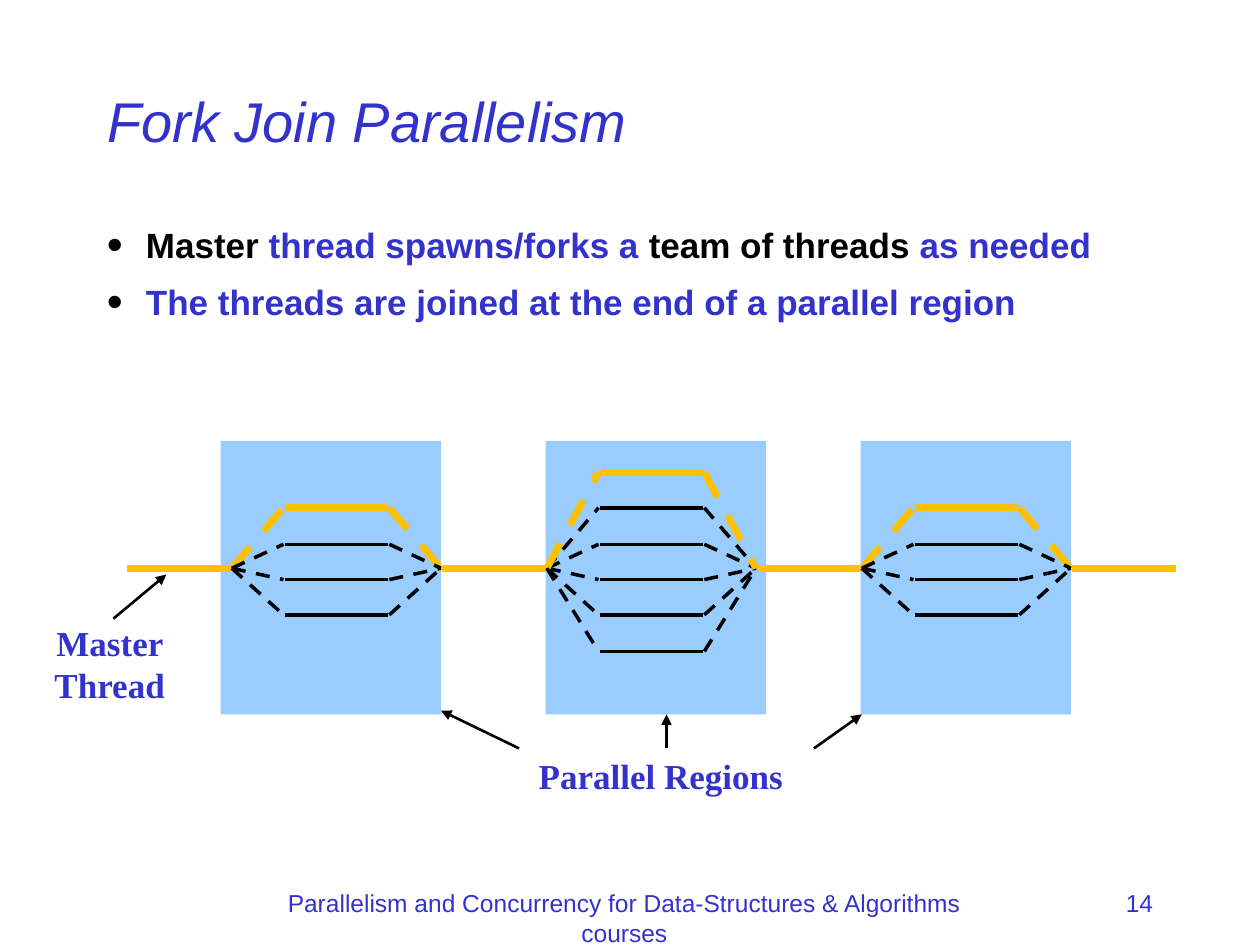
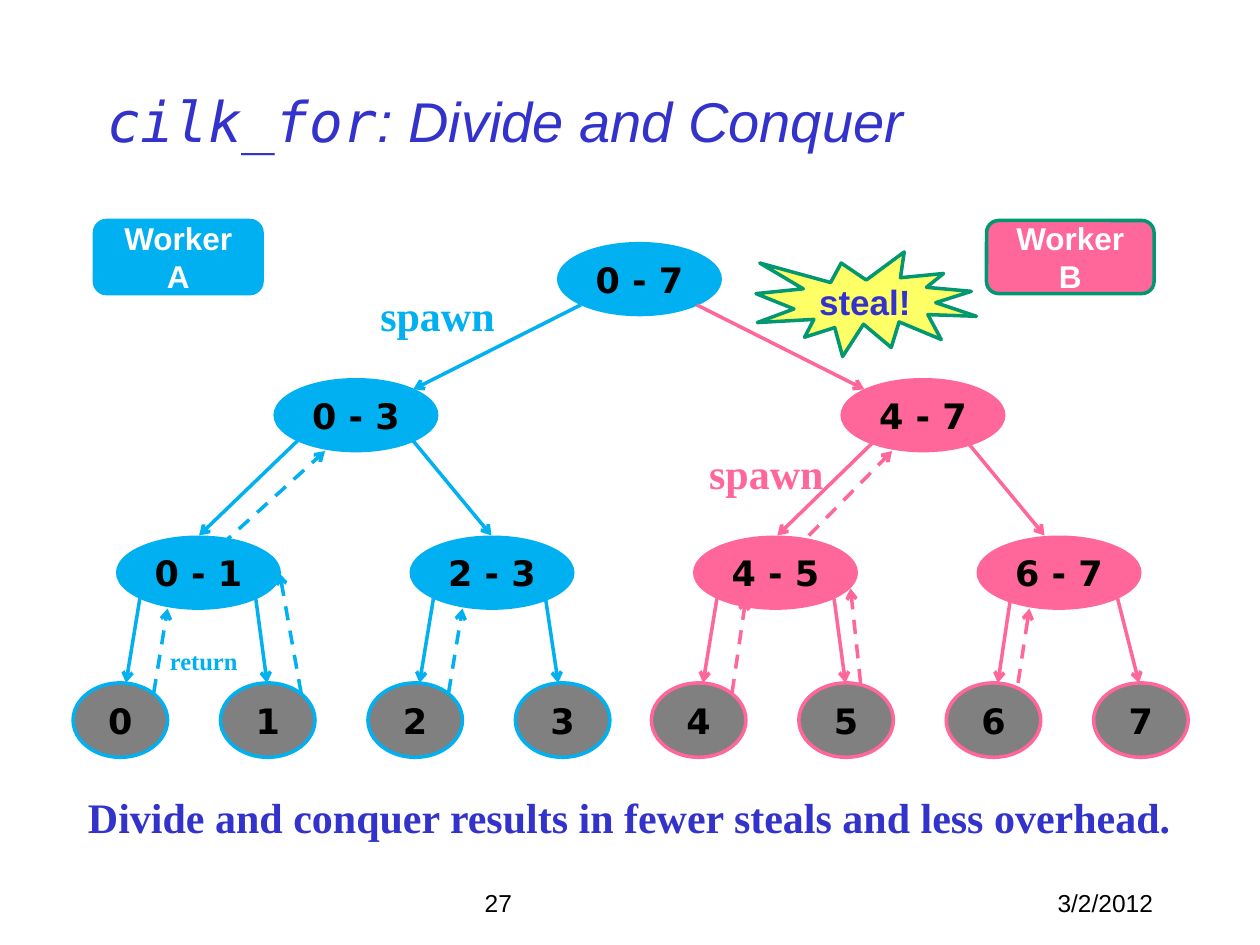
import lxml.etree
import pptx
import pptx.dml.color
import pptx.enum.dml
import pptx.enum.shapes
import pptx.enum.text
import pptx.oxml.ns
import pptx.util

EMU_PER_PX = 9144  # 100 px to the inch
TITLE_ONLY = 5
SHAPES = pptx.enum.shapes.MSO_SHAPE
ALIGN = pptx.enum.text.PP_ALIGN
ANCHOR = pptx.enum.text.MSO_ANCHOR
COLORS = {
    "blue": "3333CC", "black": "000000", "white": "FFFFFF", "region": "99CCFF",
    "master": "FFC000", "A": "00B0F0", "B": "FF6699", "leaf": "808080",
    "green": "009771", "yellow": "FFFF66",
}
SANS, SERIF = "Arial", "Times New Roman"
LABEL, MONO = "DejaVu Sans", "DejaVu Sans Mono"


def px(*lengths):
    return [pptx.util.Emu(length * EMU_PER_PX) for length in lengths]


def rgb(name):
    return pptx.dml.color.RGBColor.from_string(COLORS[name])


def add_xml(parent, tag, **attributes):
    return lxml.etree.SubElement(parent, pptx.oxml.ns.qn(tag), attributes)


class Deck:
    def __init__(self):
        self.presentation = pptx.Presentation()
        self.presentation.slide_width, self.presentation.slide_height = px(1000, 750)
        self.slide = None

    def start_slide(self, *title_runs):
        """Add a slide; each title run is a (text, font) pair."""
        layout = self.presentation.slide_layouts[TITLE_ONLY]
        self.slide = self.presentation.slides.add_slide(layout)
        title = self.slide.shapes.title
        title.left, title.top, title.width, title.height = px(75, 33, 850, 125)
        frame = title.text_frame
        frame.auto_size = pptx.enum.text.MSO_AUTO_SIZE.NONE
        frame.vertical_anchor = ANCHOR.MIDDLE
        paragraph = frame.paragraphs[0]
        paragraph.alignment = ALIGN.LEFT
        for text, font in title_runs:
            run = paragraph.add_run()
            run.text = text
            self.style_run(run, 32, "blue", font, bold=False, italic=True)

    def style_run(self, run, size, color, font, bold=True, italic=False):
        run.font.size = pptx.util.Pt(size)
        run.font.name = font
        run.font.bold = bold
        run.font.italic = italic
        run.font.color.rgb = rgb(color)

    def label(self, shape, text, size, color, font, bold=True, align=ALIGN.CENTER):
        paragraph = shape.text_frame.paragraphs[0]
        paragraph.text = text
        paragraph.alignment = align
        self.style_run(paragraph.runs[0], size, color, font, bold)

    def text(self, box, text, size, color, font=SERIF, bold=True, align=ALIGN.CENTER):
        shape = self.slide.shapes.add_textbox(*px(*box))
        shape.text_frame.word_wrap = True
        self.label(shape, text, size, color, font, bold, align)

    def bullets(self, box, items):
        """Each item is a list of (text, color) runs."""
        frame = self.slide.shapes.add_textbox(*px(*box)).text_frame
        frame.word_wrap = True
        for index, item in enumerate(items):
            paragraph = frame.add_paragraph() if index else frame.paragraphs[0]
            paragraph.line_spacing = 0.94
            if index:
                paragraph.space_before = pptx.util.Pt(10)
            properties = paragraph._p.get_or_add_pPr()
            indent = px(31)[0]
            properties.set("marL", str(indent))
            properties.set("indent", str(-indent))
            bullet_color = add_xml(properties, "a:buClr")
            add_xml(bullet_color, "a:srgbClr", val=COLORS["black"])
            add_xml(properties, "a:buSzPct", val="130000")
            add_xml(properties, "a:buFont", typeface=SANS)
            add_xml(properties, "a:buChar", char="•")
            for text, color in item:
                run = paragraph.add_run()
                run.text = text
                self.style_run(run, 20, color, SANS)

    def shape(self, kind, box, fill, line=None):
        shape = self.slide.shapes.add_shape(kind, *px(*box))
        shape.shadow.inherit = False
        shape.fill.solid()
        shape.fill.fore_color.rgb = rgb(fill)
        if line:
            shape.line.color.rgb = rgb(line)
            shape.line.width = pptx.util.Pt(2)
        else:
            shape.line.fill.background()
        shape.text_frame.vertical_anchor = ANCHOR.MIDDLE
        return shape

    def node(self, box, text, fill, line=None):
        shape = self.shape(SHAPES.OVAL, box, fill, line)
        shape.text_frame.word_wrap = False
        self.label(shape, text, 20, "black", LABEL)

    def line(self, ends, color, width=2, dashed=False, arrow=None):
        straight = pptx.enum.shapes.MSO_CONNECTOR.STRAIGHT
        connector = self.slide.shapes.add_connector(straight, *px(*ends))
        connector.line.color.rgb = rgb(color)
        connector.line.width = pptx.util.Pt(width)
        if dashed:
            connector.line.dash_style = pptx.enum.dml.MSO_LINE.DASH
        properties = connector._element.spPr
        if arrow:
            add_xml(properties.find(pptx.oxml.ns.qn("a:ln")), "a:tailEnd", type=arrow)
        add_xml(properties, "a:effectLst")

    def footer(self, left, center_text, right_text, color):
        self.text((left, 700, 625, 50), center_text, 14, color, SANS, False)
        self.text((717, 700, 208, 50), right_text, 14, color, SANS, False, ALIGN.RIGHT)


def draw_team(deck, fork, levels):
    """Fork the trunk into one thread per level and join them; the top one is the master."""
    trunk = 451
    for level in levels:
        color, width = ("master", 4) if level == min(levels) else ("black", 2)
        deck.line((fork + 42, level, fork + 124, level), color, width)
        deck.line((fork, trunk, fork + 41, level), color, width, dashed=True)
        deck.line((fork + 125, level, fork + 166, trunk), color, width, dashed=True)


def build_fork_join(deck):
    deck.start_slide(("Fork Join Parallelism", SANS))
    deck.bullets((75, 175, 850, 492), [
        [("Master", "black"), (" thread spawns/forks a ", "blue"),
         ("team of threads ", "black"), ("as needed", "blue")],
        [("The threads are joined at the end of a parallel region", "blue")],
    ])
    deck.footer(183, "Parallelism and Concurrency for Data-Structures & Algorithms courses",
                "14", "blue")

    for left, width in ((175, 175), (433, 175), (683, 167)):
        deck.shape(SHAPES.RECTANGLE, (left, 350, width, 217), "region")
    for start in range(101, 1000, 250):
        deck.line((start, 451, start + 82, 451), "master", 4)
    small_team = (403, 432, 460, 488)
    large_team = (*small_team, 375, 517)
    for fork, levels in ((184, small_team), (434, large_team), (684, small_team)):
        draw_team(deck, fork, levels)

    deck.text((312, 594, 425, 44), "Parallel Regions", 20, "blue")
    deck.text((21, 488, 132, 77), "Master Thread", 20, "blue")
    for pointer in ((646, 594, 684, 567), (412, 594, 350, 564),
                    (529, 594, 529, 567), (90, 491, 132, 456)):
        deck.line(pointer, "black", 1.5, arrow="triangle")


def build_divide_and_conquer(deck):
    deck.start_slide(("cilk_for", MONO), (": Divide and Conquer", SANS))

    ranges = [
        ("0 - 7", 442, 192, "A"), ("0 - 3", 217, 300, "A"), ("4 - 7", 667, 300, "B"),
        ("0 - 1", 92, 425, "A"), ("2 - 3", 325, 425, "A"),
        ("4 - 5", 550, 425, "B"), ("6 - 7", 775, 425, "B"),
    ]
    for text, left, top, worker in ranges:
        deck.node((left, top, 131, 59), text, worker)
    for leaf in range(8):
        half, place = divmod(leaf, 4)
        left = 58 + 459 * half + 117 * place
        deck.node((left, 542, 75, 59), str(leaf), "leaf", "AB"[half])

    # Start and end y of each row of arrows, then the x of both ends of each arrow
    spawns = [
        (242, 309, "A", [(461, 328)]),
        (242, 309, "B", [(553, 686)]),
        (350, 425, "A", [(236, 158), (328, 390)]),
        (350, 425, "B", [(694, 617), (767, 829)]),
        (475, 542, "A", [(111, 100), (203, 212), (344, 333), (433, 443)]),
        (475, 542, "B", [(569, 558), (662, 671), (802, 792), (887, 904)]),
    ]
    for top, bottom, worker, arrows in spawns:
        for start, end in arrows:
            deck.line((start, top, end, bottom), worker, arrow="arrow")
    returns = {
        "A": [(122, 550, 133, 483), (239, 550, 222, 455),
              (175, 433, 258, 358), (356, 550, 367, 483)],
        "B": [(581, 550, 592, 475), (683, 542, 675, 467),
              (642, 425, 708, 358), (808, 542, 817, 483)],
    }
    for worker, arrows in returns.items():
        for ends in arrows:
            deck.line(ends, worker, dashed=True, arrow="arrow")

    deck.text((292, 225, 117, 44), "spawn", 24, "A", align=ALIGN.LEFT)
    deck.text((125, 508, 83, 34), "return", 14, "A", align=ALIGN.LEFT)
    deck.text((553, 350, 117, 50), "spawn", 24, "B", align=ALIGN.LEFT)
    callouts = [
        (SHAPES.ROUNDED_RECTANGLE, (75, 175, 133, 58), "A", "A", "Worker A", 18, "white"),
        (SHAPES.ROUNDED_RECTANGLE, (783, 175, 133, 58), "B", "green", "Worker B", 18, "white"),
        (SHAPES.EXPLOSION1, (600, 200, 175, 83), "yellow", "green", "steal!", 20, "blue"),
    ]
    for kind, box, fill, line, text, size, color in callouts:
        deck.label(deck.shape(kind, box, fill, line), text, size, color, SANS)
    deck.text((48, 623, 903, 50),
              "Divide and conquer results in fewer steals and less overhead.", 24, "blue")
    deck.footer(83, "27", "3/2/2012", "black")


def main():
    deck = Deck()
    build_fork_join(deck)
    build_divide_and_conquer(deck)
    deck.presentation.save("out.pptx")


if __name__ == "__main__":
    main()
